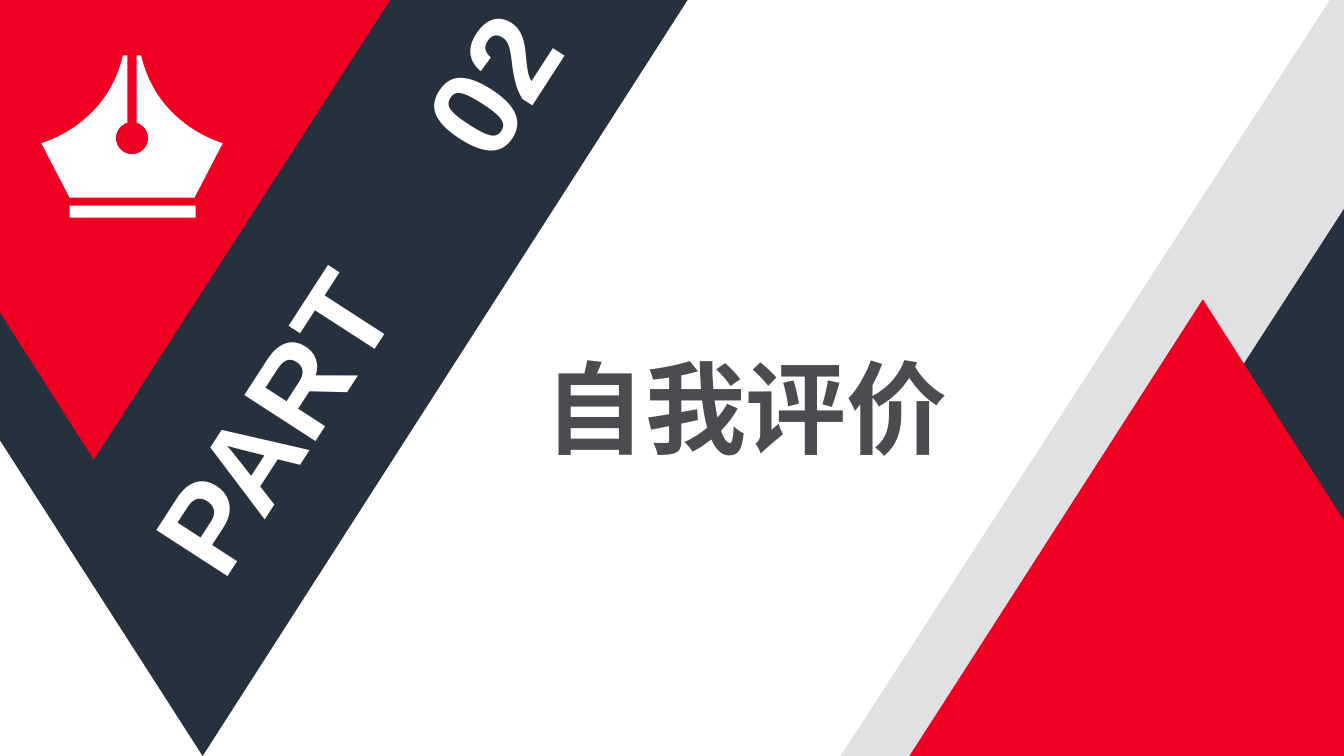
from dataclasses import dataclass
from math import asin, cos, pi, sin

from lxml.etree import SubElement
from pptx import Presentation
from pptx.dml.color import RGBColor
from pptx.enum.shapes import MSO_SHAPE
from pptx.enum.text import MSO_AUTO_SIZE
from pptx.oxml.ns import qn
from pptx.shapes.autoshape import Shape
from pptx.slide import Slide
from pptx.util import Inches, Pt

Point = tuple[float, float]


@dataclass(frozen=True)
class Theme:
    navy: str = "25313D"
    red: str = "EF0023"
    grey: str = "E1E1E3"
    white: str = "FFFFFF"
    ink: str = "4C4B50"
    font: str = "Arial"
    part_size: int = 88
    title_size: int = 72


THEME = Theme()


@dataclass(frozen=True)
class Panel:
    corners: list[Point]
    color: str


@dataclass(frozen=True)
class Bar:
    left: float
    top: float
    width: float
    height: float
    color: str
    rotation: float = 0


@dataclass(frozen=True)
class Heading:
    text: str
    left: float
    top: float
    width: float
    height: float
    size: int
    color: str
    rotation: float = 0
    tab: float = 0


def paint(shape: Shape, color: str) -> None:
    shape.shadow.inherit = False
    shape.fill.solid()
    shape.fill.fore_color.rgb = RGBColor.from_string(color)
    shape.line.fill.background()


def draw_panel(slide: Slide, panel: Panel) -> None:
    start, *others = [(Inches(x), Inches(y)) for x, y in panel.corners]
    builder = slide.shapes.build_freeform(*start)
    builder.add_line_segments(others, close=True)
    paint(builder.convert_to_shape(), panel.color)


def draw_bar(slide: Slide, bar: Bar) -> None:
    box = map(Inches, (bar.left, bar.top, bar.width, bar.height))
    shape = slide.shapes.add_shape(MSO_SHAPE.RECTANGLE, *box)
    shape.rotation = bar.rotation
    paint(shape, bar.color)


def draw_heading(slide: Slide, heading: Heading) -> None:
    box = map(Inches, (heading.left, heading.top, heading.width, heading.height))
    shape = slide.shapes.add_textbox(*box)
    shape.rotation = heading.rotation
    frame = shape.text_frame
    frame.word_wrap = heading.tab > 0
    frame.auto_size = MSO_AUTO_SIZE.SHAPE_TO_FIT_TEXT
    frame.margin_right = Inches(0)
    paragraph = frame.paragraphs[0]
    if heading.tab:
        stops = SubElement(paragraph._p.get_or_add_pPr(), qn("a:tabLst"))
        SubElement(stops, qn("a:tab"), pos=str(Inches(heading.tab)), algn="l")
    run = paragraph.add_run()
    run.text = heading.text
    run.font.name = THEME.font
    run.font.size = Pt(heading.size)
    run.font.bold = True
    run.font.color.rgb = RGBColor.from_string(heading.color)


def bezier(start: Point, bend_a: Point, bend_b: Point, end: Point, steps: int = 24) -> list[Point]:
    def at(t: float, axis: int) -> float:
        u = 1 - t
        return (u**3 * start[axis] + 3 * u * u * t * bend_a[axis]
                + 3 * u * t * t * bend_b[axis] + t**3 * end[axis])

    return [(at(i / steps, 0), at(i / steps, 1)) for i in range(steps + 1)]


def nib_outline() -> list[Point]:
    axis, hole_y, radius, slit = 1.31, 1.37, 0.16, 0.045
    steps = 24
    sweep = pi - asin(slit / radius)
    hole = [(axis + radius * sin(sweep * i / steps), hole_y + radius * cos(sweep * i / steps))
            for i in range(steps + 1)]
    tip, shoulder, base = (1.4, 0.55), (2.21, 1.42), (1.93, 1.96)
    edge = bezier(tip, (1.56, 1.25), shoulder, shoulder)
    right = [*hole, (axis + slit, tip[1]), *edge, base]
    left = [(2 * axis - x, y) for x, y in reversed(right)]
    return right + left[:-1]


BACKDROP = [
    Panel([(2.01, 7.5), (6.82, 0), (0, 0), (0, 4.37)], THEME.navy),
    Panel([(0, 3.1), (0.93, 4.56), (3.87, 0), (0, 0)], THEME.red),
    Panel(nib_outline(), THEME.white),
]
BARS = [
    Bar(0.69, 2.04, 1.25, 0.12, THEME.white),
    Bar(10.86, -1.61, 1.25, 10.79, THEME.grey, 32.9),
]
PEAKS = [
    Panel([(9.82, 7.5), (14.82, 7.5), (14.82, 0), (14.67, 0)], THEME.navy),
    Panel([(14.82, 7.5), (11.93, 2.97), (9.02, 7.5)], THEME.red),
]
HEADINGS = [
    Heading("PART\t02", 0.26, 2.07, 6.56, 1.58, THEME.part_size, THEME.white, 302.9, 4.93),
    Heading("自我评价", 5.3, 3.38, 4.26, 1.31, THEME.title_size, THEME.ink),
]


def main() -> None:
    deck = Presentation()
    deck.slide_width, deck.slide_height = Inches(13.33), Inches(7.5)
    slide = deck.slides.add_slide(deck.slide_layouts[6])
    for panel in BACKDROP:
        draw_panel(slide, panel)
    for bar in BARS:
        draw_bar(slide, bar)
    for panel in PEAKS:
        draw_panel(slide, panel)
    for heading in HEADINGS:
        draw_heading(slide, heading)
    deck.save("out.pptx")


if __name__ == "__main__":
    main()
